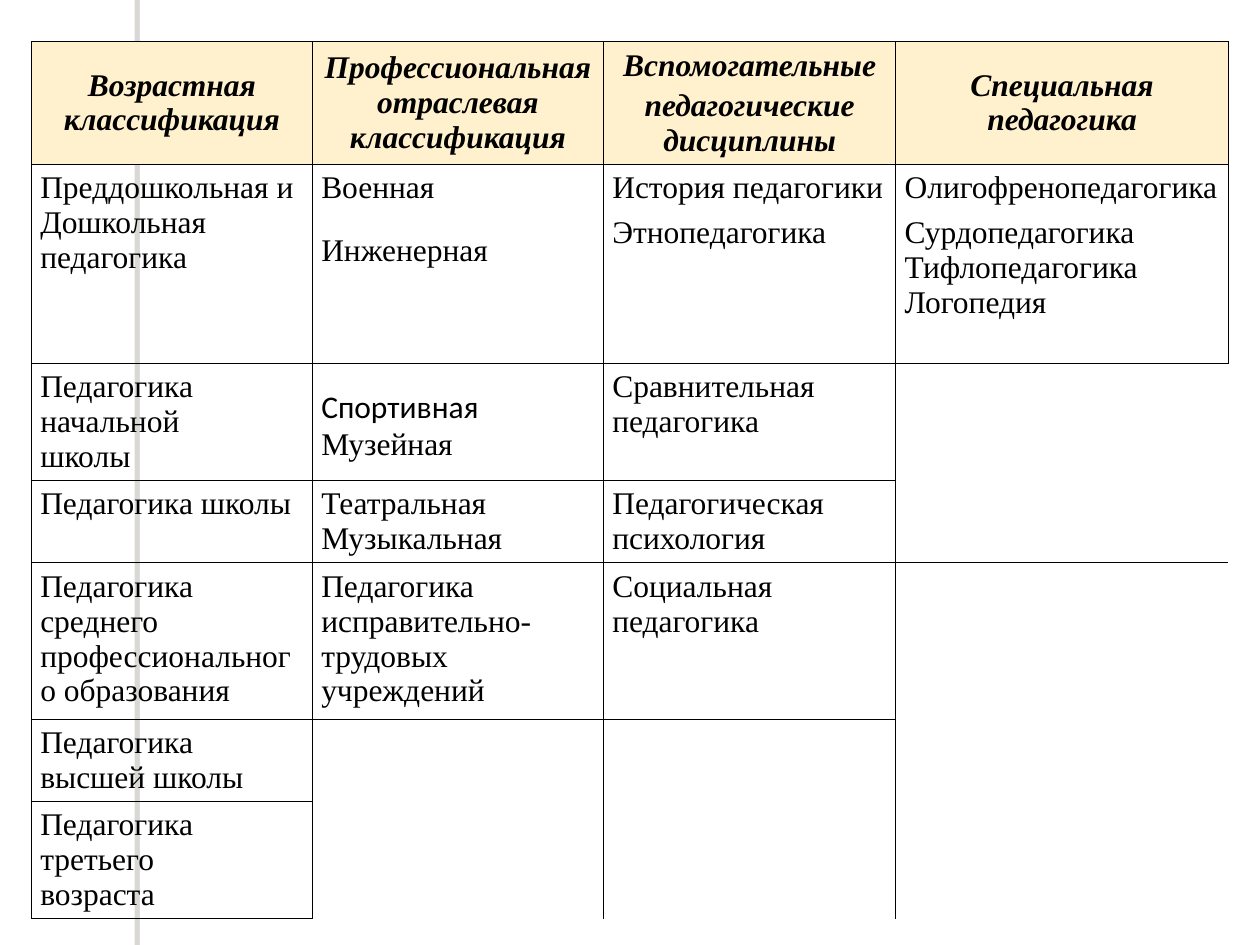
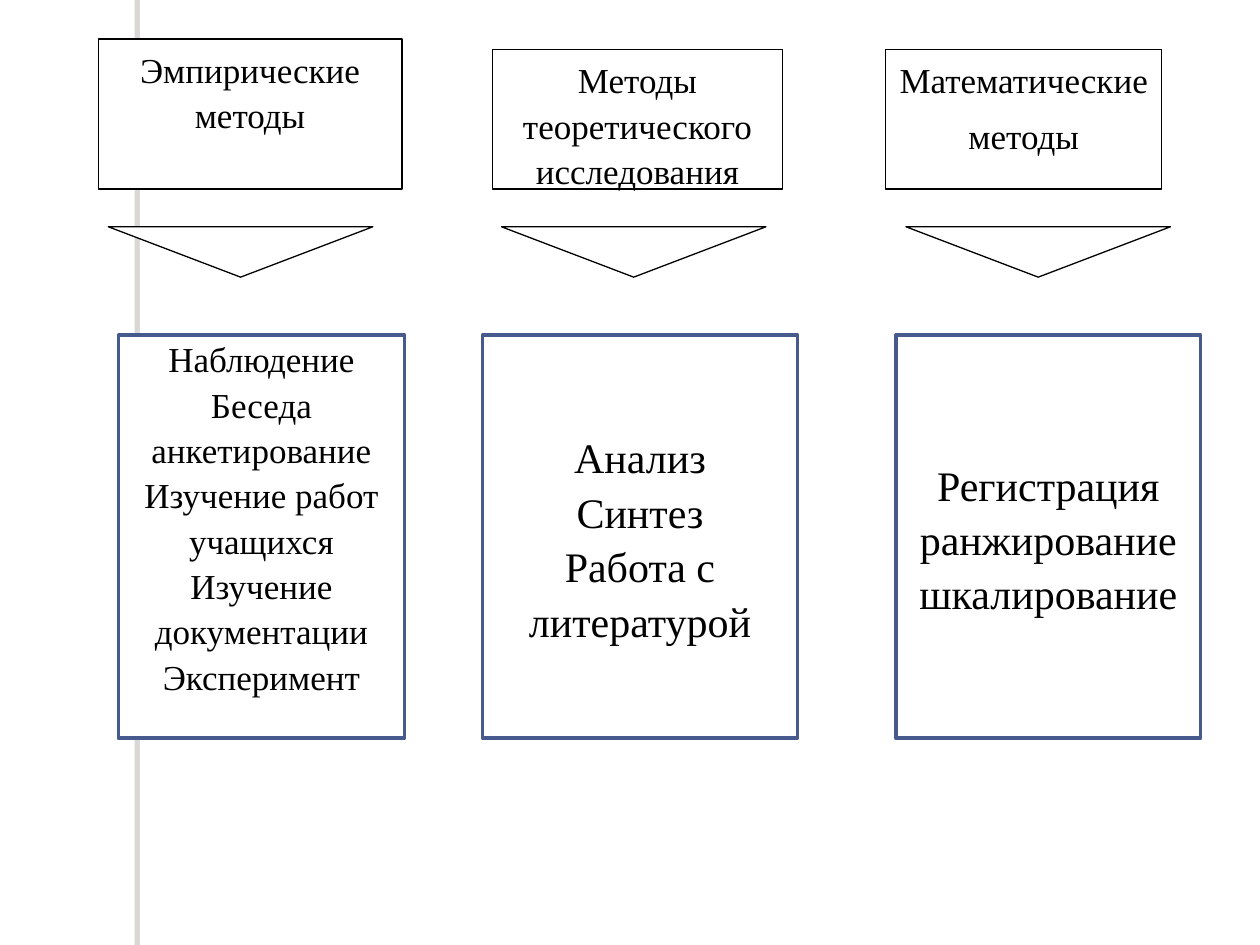
import pptx
import pptx.util
import pptx.dml.color
import pptx.enum.shapes
import pptx.enum.text
import lxml.etree

Inches = pptx.util.Inches
Pt = pptx.util.Pt
Kind = pptx.enum.shapes.MSO_SHAPE
Align = pptx.enum.text.PP_ALIGN
Anchor = pptx.enum.text.MSO_ANCHOR
Color = pptx.dml.color.RGBColor.from_string
NS = "{http://schemas.openxmlformats.org/drawingml/2006/main}"


class Theme:
    face = "Times New Roman"
    alt = "Calibri"
    ink = "000000"
    paper = "FFFFFF"
    head = "FFF1CE"
    frame = "475A8D"
    shade = "706B5F"
    cell = 18
    label = 20
    large = 24
    thin = 0.75
    thick = 2
    rule = 0.45


def write(frame, lines, size, para={}, font={}):
    frame.word_wrap = True
    for n, line in enumerate(lines):
        text, extra = line if isinstance(line, tuple) else (line, {})
        p = frame.paragraphs[0] if n == 0 else frame.add_paragraph()
        run = p.add_run()
        run.text = text
        run.font.color.rgb = Color(Theme.ink)
        look = {"name": Theme.face, "size": Pt(size), **font}
        flow = {**para, **extra}
        if "name" in flow:
            look["name"] = flow.pop("name")
        for key, val in look.items():
            setattr(run.font, key, val)
        for key, val in flow.items():
            setattr(p, key, val)


def shape(slide, kind, box, line=None, width=0):
    item = slide.shapes.add_shape(kind, *map(Inches, box))
    item.shadow.inherit = False
    item.fill.solid()
    item.fill.fore_color.rgb = Color(Theme.paper)
    if line:
        item.line.color.rgb = Color(line)
        item.line.width = Pt(width)
    else:
        item.line.fill.background()
    return item


deck = pptx.Presentation()
deck.slide_width = Inches(10)
deck.slide_height = Inches(7.5)
blank = deck.slide_layouts[6]
first, second = [deck.slides.add_slide(blank) for _ in range(2)]

strip = shape(first, Kind.RECTANGLE, (1.11, 0, 0.08, 7.5))
glow = lxml.etree.SubElement(
    strip.element.spPr.find(NS + "effectLst"), NS + "outerShdw",
    dist=str(Pt(3)), dir="10800000", algn="ctr", rotWithShape="0")
tint = lxml.etree.SubElement(glow, NS + "srgbClr", val=Theme.shade)
lxml.etree.SubElement(tint, NS + "alpha", val="25000")
blank.shapes.element.append(strip.element)

gap = {"space_after": Pt(6)}
tall = {"line_spacing": 1.5}
rows = [
    [["Возрастная классификация"],
     ["Профессиональная", "отраслевая", "классификация"],
     [("Вспомогательные", {"space_after": Pt(3)}), "педагогические", "дисциплины"],
     ["Специальная", "педагогика"]],
    [["Преддошкольная и", "Дошкольная", "педагогика"],
     [("Военная", gap), ("Инженерная", tall)],
     [("История педагогики", gap), "Этнопедагогика"],
     [("Олигофренопедагогика", gap), "Сурдопедагогика", "Тифлопедагогика", "Логопедия"]],
    [["Педагогика", "начальной", "школы"],
     [("Спортивная", {**tall, "name": Theme.alt}), "Музейная"],
     ["Сравнительная", "педагогика"]],
    [["Педагогика школы"],
     ["Театральная", "Музыкальная"],
     ["Педагогическая психология"]],
    [["Педагогика среднего профессионального образования"],
     ["Педагогика", "исправительно-трудовых", "учреждений"],
     ["Социальная", "педагогика"]],
    [["Педагогика высшей школы"]],
    [["Педагогика третьего", "возраста"]],
]
wide = [2.23, 2.31, 2.32, 2.64]
high = [0.97, 1.58, 0.93, 0.62, 1.24, 0.62, 0.93]
bare = {(2, 3): (3, 3, "LT"), (4, 3): (6, 3, "L"),
        (5, 1): (6, 1, "LT"), (5, 2): (6, 2, "T")}

grid = first.shapes.add_table(
    len(high), len(wide), *map(Inches, (0.25, 0.33, sum(wide), sum(high)))).table
grid.horz_banding = False
grid.first_row = False
style = next(grid._tbl.iter(NS + "tableStyleId"))
style.text = "{2D5ABB26-0587-4C30-8999-92F81FD0307C}"
for col, size in zip(grid.columns, wide):
    col.width = Inches(size)
for row, size in zip(grid.rows, high):
    row.height = Inches(size)
for (top, left), (low, right, _) in bare.items():
    grid.cell(top, left).merge(grid.cell(low, right))

pads = {"margin_left": Inches(0.07), "margin_right": Inches(0.07),
        "margin_top": Inches(0.05), "margin_bottom": Inches(0.05)}
for r in range(len(high)):
    for c in range(len(wide)):
        cell = grid.cell(r, c)
        full = c < len(rows[r])
        sides = "LRTB" if full else bare.get((r, c), (0, 0, ""))[2]
        for key, val in pads.items():
            setattr(cell, key, val)
        for side in sides:
            edge = lxml.etree.SubElement(
                cell._tc.get_or_add_tcPr(), NS + "ln" + side, w=str(Pt(Theme.rule)))
            solid = lxml.etree.SubElement(edge, NS + "solidFill")
            lxml.etree.SubElement(solid, NS + "srgbClr", val=Theme.ink)
        if r == 0:
            cell.fill.solid()
            cell.fill.fore_color.rgb = Color(Theme.head)
            cell.vertical_anchor = Anchor.MIDDLE
            write(cell.text_frame, rows[r][c], Theme.cell,
                  {"alignment": Align.CENTER}, {"bold": True, "italic": True})
        else:
            cell.fill.background()
            if full:
                write(cell.text_frame, rows[r][c], Theme.cell)

mid = {"alignment": Align.CENTER, "line_spacing": 1.08}
heads = [
    ((0.78, 0.31, 2.41, 1.19), ["Эмпирические методы"]),
    ((3.91, 0.39, 2.3, 1.11), ["Методы", "теоретического", "исследования"]),
    ((7.03, 0.39, 2.19, 1.11), [("Математические", gap), "методы"]),
]
for box, lines in heads:
    item = shape(second, Kind.RECTANGLE, box, Theme.ink, Theme.thin)
    item.text_frame.vertical_anchor = Anchor.TOP
    write(item.text_frame, lines, Theme.label, mid)

for left in (0.86, 3.98, 7.19):
    arrow = shape(second, Kind.DOWN_ARROW, (left, 1.8, 2.1, 0.4), Theme.ink, Theme.thin)
    arrow.adjustments[0] = 0
    arrow.adjustments[1] = 1

lists = [
    (0.94, 2.27, Theme.label, 0.38,
     ["Наблюдение", "Беседа анкетирование", "Изучение работ учащихся",
      "Изучение документации", "Эксперимент"]),
    (3.83, 2.5, Theme.large, 0.05, ["Анализ", "Синтез", "Работа с литературой"]),
    (7.11, 2.42, Theme.large, 0.05, ["Регистрация ранжирование", "шкалирование"]),
]
for left, width, size, foot, lines in lists:
    item = shape(second, Kind.RECTANGLE, (left, 2.66, width, 3.2), Theme.frame, Theme.thick)
    item.text_frame.vertical_anchor = Anchor.MIDDLE
    item.text_frame.margin_bottom = Inches(foot)
    write(item.text_frame, lines, size, mid)

deck.save("out.pptx")
